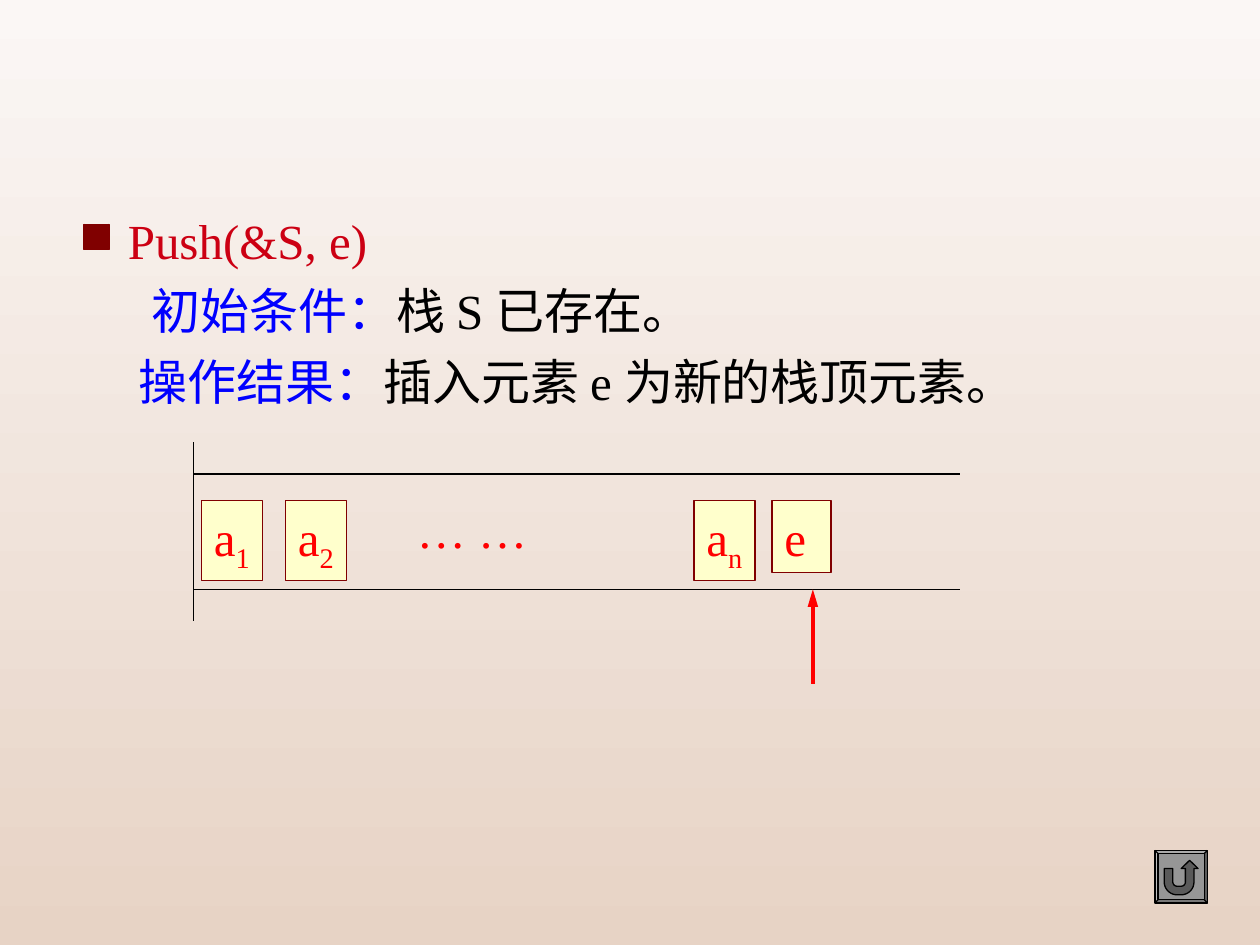
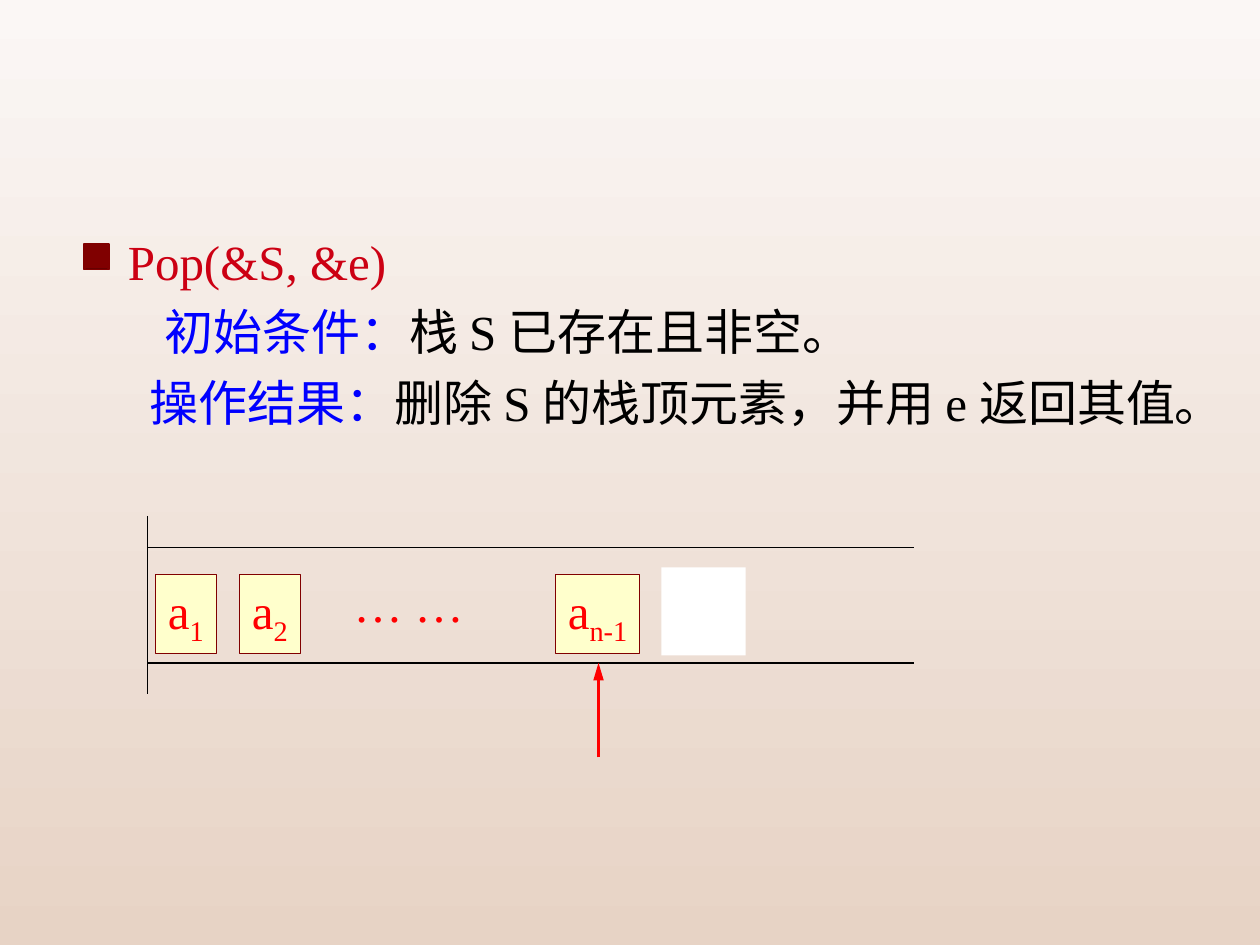
import math
from dataclasses import dataclass

import lxml.etree
import pptx
import pptx.dml.color
import pptx.enum.shapes
import pptx.enum.text
import pptx.oxml.ns
import pptx.util

Pt = pptx.util.Pt
SHAPES = pptx.enum.shapes.MSO_SHAPE
RGB = pptx.dml.color.RGBColor.from_string


@dataclass(frozen=True)
class Theme:
    font: str = "Times New Roman"
    size: float = 28
    background_top: str = "FBF7F5"
    background_bottom: str = "E7D3C5"
    operation: str = "CC0013"
    heading: str = "0000FF"
    body: str = "000000"
    element: str = "FF0000"
    cell: str = "FFFFCC"
    border: str = "800000"
    button: str = "969696"
    icon: str = "5A5A5A"
    blank: str = "FFFFFF"
    thin: float = 0.75
    thick: float = 2


theme = Theme()


def add_line(slide, start, end, color, width):
    """Draw a straight line without a shadow."""
    line = slide.shapes.add_connector(
        pptx.enum.shapes.MSO_CONNECTOR.STRAIGHT, *map(Pt, start + end))
    line.line.color.rgb = RGB(color)
    line.line.width = Pt(width)
    lxml.etree.SubElement(line._element.spPr, pptx.oxml.ns.qn("a:effectLst"))
    return line


def style_shape(shape, fill, line=None):
    """Give a shape a flat fill, a thin outline or none, and no shadow."""
    shape.shadow.inherit = False
    shape.fill.solid()
    shape.fill.fore_color.rgb = RGB(fill)
    if line:
        shape.line.color.rgb = RGB(line)
        shape.line.width = Pt(theme.thin)
    else:
        shape.line.fill.background()


# Each operation: its description lines (indent, heading, body), bullet and stack
# Cells are (offset from the stack's closed end, width, height, letter, subscript)
operations = [
    {
        "name": "Push(&S, e)",
        "lines": [(13.6, "初始条件：", "栈 S 已存在。"),
                  (6.3, "操作结果：", "插入元素 e 为新的栈顶元素。")],
        "text_box": (66, 120, 606, 108),
        "bullet_top": 128.2,
        "stack": (110.5, 252.8),
        "top_cells": [(286, 35, 45.4, "a", "n"), (330.6, 33.8, 41, "e", "")],
        "dots": 120.7,
        "pointer": 354,
        "removed": None,
        "return_button": (660, 486),
    },
    {
        "name": "Pop(&S, &e)",
        "lines": [(21, "初始条件：", "栈 S 已存在且非空。"),
                  (12.6, "操作结果：", "删除 S 的栈顶元素，并用 e 返回其值。")],
        "text_box": (66, 114, 630, 144),
        "bullet_top": 139.5,
        "stack": (84.2, 294.8),
        "top_cells": [(233.2, 48.2, 45.4, "a", "n-1")],
        "dots": 110.8,
        "pointer": 257.8,
        "removed": 293.8,
        "return_button": None,
    },
]
first_cells = [(4.6, 35, 45.4, "a", "1"), (52.6, 35, 45.4, "a", "2")]
rail_offsets = (18, 84)
rail_length = 438
wall_height = 102

presentation = pptx.Presentation()
presentation.slide_width = Pt(720)
presentation.slide_height = Pt(540)

for operation in operations:
    slide = presentation.slides.add_slide(presentation.slide_layouts[6])

    # Background
    background = slide.background.fill
    background.gradient()
    background.gradient_angle = 270
    for stop, color, position in zip(background.gradient_stops,
                                     (theme.background_top, theme.background_bottom), (0, 1)):
        stop.color.rgb = RGB(color)
        stop.position = position

    # Description
    frame = slide.shapes.add_textbox(*map(Pt, operation["text_box"])).text_frame
    frame.word_wrap = True
    frame.vertical_anchor = pptx.enum.text.MSO_ANCHOR.MIDDLE
    rows = [(0, [(operation["name"], theme.operation)])]
    rows += [(indent, [(heading, theme.heading), (body, theme.body)])
             for indent, heading, body in operation["lines"]]
    for index, (indent, parts) in enumerate(rows):
        paragraph = frame.add_paragraph() if index else frame.paragraphs[0]
        paragraph.line_spacing = 1.2
        paragraph._p.get_or_add_pPr().set("indent", str(Pt(indent)))
        for text, color in parts:
            run = paragraph.add_run()
            run.text = text
            run.font.name = theme.font
            run.font.size = Pt(theme.size)
            run.font.color.rgb = RGB(color)

    # Square bullet
    bullet = slide.shapes.add_shape(
        SHAPES.BEVEL, Pt(48), Pt(operation["bullet_top"]), Pt(14.4), Pt(14.4))
    bullet.adjustments[0] = 0.06
    style_shape(bullet, theme.border, theme.border)

    # Stack walls
    left, top = operation["stack"]
    add_line(slide, (left, top), (left, top + wall_height), theme.body, theme.thin)
    for offset in rail_offsets:
        add_line(slide, (left, top + offset), (left + rail_length, top + offset),
                 theme.body, theme.thin)

    # Stack elements and the dots between them
    labels = []
    for offset, width, height, letter, subscript in first_cells + operation["top_cells"]:
        cell = slide.shapes.add_shape(
            SHAPES.RECTANGLE, Pt(left + offset), Pt(top + 33.4), Pt(width), Pt(height))
        style_shape(cell, theme.cell, theme.border)
        labels.append((cell, letter, subscript))
    dots = slide.shapes.add_textbox(
        Pt(left + operation["dots"]), Pt(top + 29.4), Pt(80), Pt(41))
    labels.append((dots, "… …", ""))
    for shape, letter, subscript in labels:
        frame = shape.text_frame
        frame.word_wrap = shape is dots
        frame.auto_size = pptx.enum.text.MSO_AUTO_SIZE.SHAPE_TO_FIT_TEXT
        frame.vertical_anchor = pptx.enum.text.MSO_ANCHOR.TOP
        paragraph = frame.paragraphs[0]
        paragraph.text = letter
        paragraph.alignment = pptx.enum.text.PP_ALIGN.LEFT
        if subscript:
            run = paragraph.add_run()
            run.text = subscript
            run._r.get_or_add_rPr().set("baseline", "-25000")
        for run in paragraph.runs:
            run.font.name = theme.font
            run.font.size = Pt(theme.size)
            run.font.color.rgb = RGB(theme.element)

    # Place of the removed element
    if operation["removed"]:
        blank = slide.shapes.add_shape(
            SHAPES.RECTANGLE, Pt(left + operation["removed"]), Pt(top + 29.4),
            Pt(48.2), Pt(50.4))
        style_shape(blank, theme.blank)

    # Stack top pointer
    pointer_x = left + operation["pointer"]
    pointer = add_line(slide, (pointer_x, top + 138), (pointer_x, top + rail_offsets[1]),
                       theme.element, theme.thick)
    lxml.etree.SubElement(pointer.line._get_or_add_ln(), pptx.oxml.ns.qn("a:tailEnd"),
                          type="triangle", w="med", len="lg")

    # Return button with a U-turn arrow
    if operation["return_button"]:
        left, top = operation["return_button"]
        button = slide.shapes.add_shape(SHAPES.BEVEL, Pt(left), Pt(top), Pt(30), Pt(30))
        button.adjustments[0] = 0.06
        style_shape(button, theme.button, theme.body)

        angles = [math.radians(degrees) for degrees in range(0, 91, 10)]
        inner = [(12.6 - 2.4 * math.cos(a), 18 + 2.4 * math.sin(a)) for a in angles]
        inner += [(15 + 2.4 * math.cos(a), 18 + 2.4 * math.sin(a)) for a in reversed(angles)]
        outer = [(15 + 7.3 * math.cos(a), 18 + 7.3 * math.sin(a)) for a in angles]
        outer += [(12.6 - 7.3 * math.cos(a), 18 + 7.3 * math.sin(a)) for a in reversed(angles)]
        arrow_head = [(17.4, 10.3), (15, 10.3), (19.8, 5.6), (24.6, 10.3), (22.3, 10.3)]
        outline = [(5.3, 10.3), (10.2, 10.3)] + inner + arrow_head + outer
        points = [(Pt(left + x), Pt(top + y)) for x, y in outline]
        builder = slide.shapes.build_freeform(*points[0])
        builder.add_line_segments(points[1:], close=True)
        style_shape(builder.convert_to_shape(), theme.icon, theme.body)

presentation.save("out.pptx")
